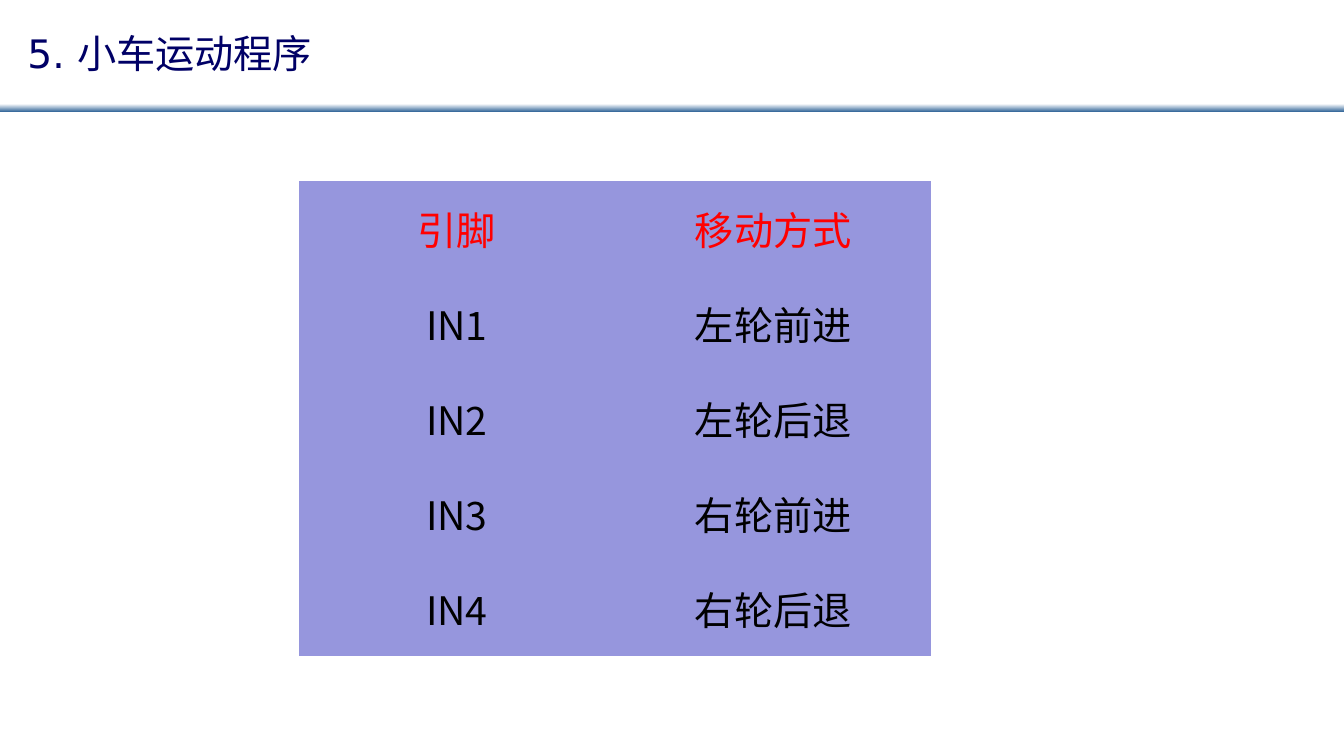
"""Build the slide listing the motor pins of the car and their movements."""
from lxml.etree import SubElement
from pptx import Presentation
from pptx.dml.color import RGBColor
from pptx.enum.shapes import MSO_SHAPE as Shape
from pptx.enum.text import MSO_ANCHOR as Anchor, PP_ALIGN as Align
from pptx.oxml.ns import qn
from pptx.util import Cm, Pt

WHITE = RGBColor(0xFF, 0xFF, 0xFF)
BLACK = RGBColor(0x00, 0x00, 0x00)
RED = RGBColor(0xFF, 0x00, 0x00)
NAVY = RGBColor(0x00, 0x00, 0x66)
STEEL = RGBColor(0x33, 0x66, 0x99)
LAVENDER = RGBColor(0x96, 0x96, 0xDD)
CJK_FONT = "Noto Sans CJK JP"
PIN_ROWS = [
    ("引脚", "移动方式"),
    ("IN1", "左轮前进"),
    ("IN2", "左轮后退"),
    ("IN3", "右轮前进"),
    ("IN4", "右轮后退"),
]


def write(paragraph, text, color, latin_font, alignment):
    paragraph.alignment = alignment
    run = paragraph.add_run()
    run.text = text
    run.font.color.rgb = color
    for name, value in {"size": Pt(28), "bold": False, "name": latin_font}.items():
        setattr(run.font, name, value)
    run.font._element.set("kern", "0")
    SubElement(run.font._element, qn("a:ea"), typeface=CJK_FONT)


presentation = Presentation()
presentation.slide_width = Cm(33.87)
presentation.slide_height = Cm(19.05)
slide = presentation.slides.add_slide(presentation.slide_layouts[5])

rule = slide.shapes.add_shape(Shape.RECTANGLE, Cm(0), Cm(2.62), Cm(33.87), Cm(0.2))
rule.shadow.inherit = False
rule.line.fill.background()
rule.fill.gradient()
rule.fill.gradient_angle = 270
for stop, position, color in zip(rule.fill.gradient_stops, (0, 1), (WHITE, STEEL)):
    stop.position = position
    stop.color.rgb = color

title = slide.shapes.title
title_box = {"left": Cm(0.03), "top": Cm(0), "width": Cm(28.78), "height": Cm(2.65)}
for name, value in title_box.items():
    setattr(title, name, value)
title_format = {
    "vertical_anchor": Anchor.MIDDLE,
    "margin_left": Cm(0.66),
    "margin_right": Cm(0.25),
    "margin_top": Cm(0.13),
    "margin_bottom": Cm(0.13),
}
for name, value in title_format.items():
    setattr(title.text_frame, name, value)
write(title.text_frame.paragraphs[0], "5. 小车运动程序", NAVY, "DejaVu Sans", Align.LEFT)

pin_frame = slide.shapes.add_table(
    len(PIN_ROWS), 2, Cm(7.53), Cm(4.55), Cm(15.94), Cm(11.98)
)
cell_format = {
    "vertical_anchor": Anchor.MIDDLE,
    "margin_left": Cm(0.19),
    "margin_right": Cm(0.19),
    "margin_top": Cm(0.13),
    "margin_bottom": Cm(0.13),
}
pin_table = pin_frame.table
pin_table.first_row = False
pin_table.horz_banding = False
pin_table._tbl.tblPr.find(qn("a:tableStyleId")).text = (
    "{2D5ABB26-0587-4C30-8999-92F81FD0307C}"
)
for row_index, row_texts in enumerate(PIN_ROWS):
    for column_index, text in enumerate(row_texts):
        cell = pin_table.cell(row_index, column_index)
        cell.fill.solid()
        cell.fill.fore_color.rgb = LAVENDER
        for name, value in cell_format.items():
            setattr(cell, name, value)
        color = BLACK if row_index else RED
        write(cell.text_frame.paragraphs[0], text, color, CJK_FONT, Align.CENTER)

presentation.save("out.pptx")
